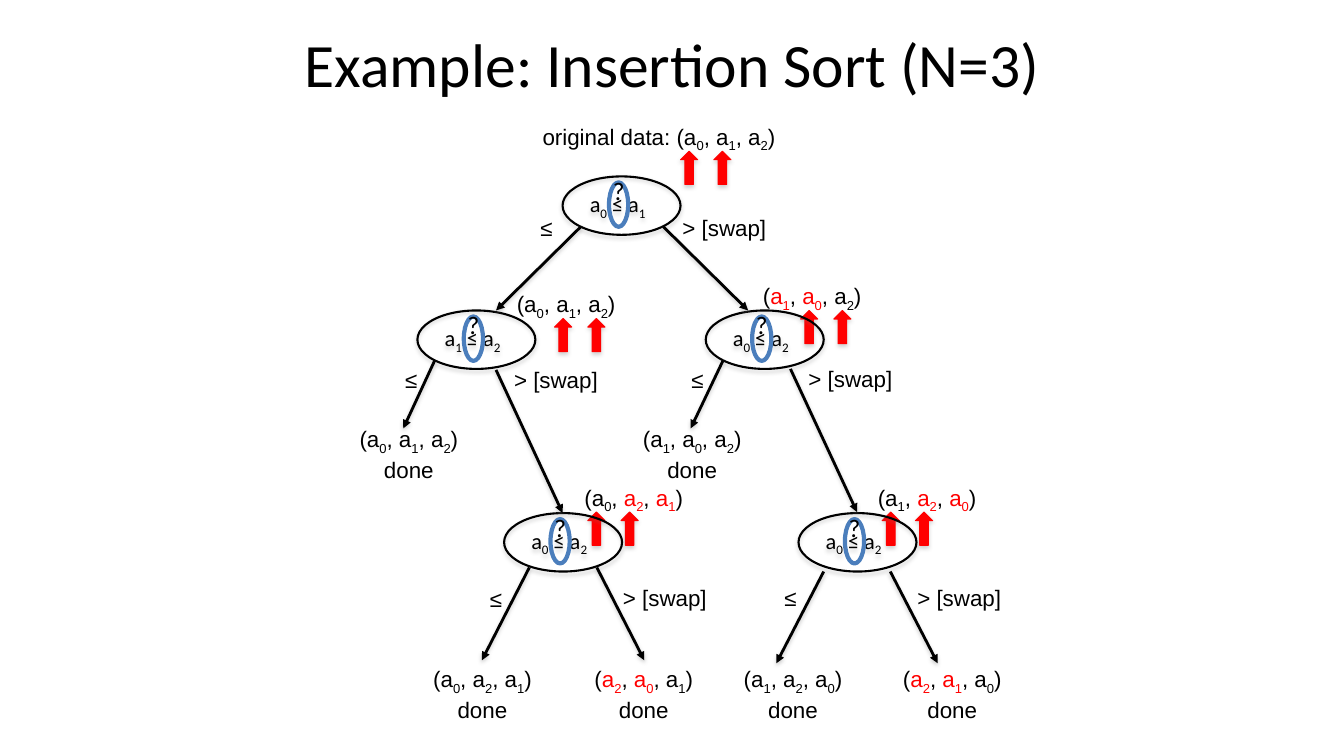
"""Build a slide showing the decision tree of insertion sort for three items."""
import itertools

import pptx
import pptx.dml.color
import pptx.enum.shapes
import pptx.enum.text
import pptx.oxml
import pptx.oxml.ns
import pptx.util
from pptx.util import Inches

COLORS = {"ink": "000000", "swapped": "FF0000", "operator": "4B7EBC", "shadow": "808080"}
SHAPES = pptx.enum.shapes.MSO_SHAPE
ALIGN = pptx.enum.text.PP_ALIGN
ANCHOR = pptx.enum.text.MSO_ANCHOR
DRAWING = pptx.oxml.ns.nsdecls("a")

NODE_WIDTH, NODE_HEIGHT = 1.17, 0.58
POINTER_GAP = 0.33

# left, top, test, data, data left, data top, data width, first pointer left
NODES = [
    (5.58, 1.75, "a0 ≤ a1", "original data: (a0, a1, a2)", 5.25, 1.17, 2.57, 6.75),
    (4.14, 3.08, "a1 ≤ a2", "(a0, a1, a2)", 5.0, 2.83, 1.23, 5.5),
    (7.0, 3.08, "a0 ≤ a2", "(*a1, *a0, a2)", 7.44, 2.75, 1.23, 7.94),
    (5.0, 5.09, "a0 ≤ a2", "(a0, *a2, *a1)", 5.67, 4.75, 1.23, 5.83),
    (7.92, 5.09, "a0 ≤ a2", "(a1, *a2, *a0)", 8.58, 4.75, 1.23, 8.75),
]
# start x, start y, end x, end y, label left, label top
KEEP_BRANCHES = [
    (5.76, 2.25, 4.92, 3.08, 5.26, 2.08),
    (4.31, 3.58, 4.0, 4.25, 3.92, 3.58),
    (7.17, 3.58, 6.85, 4.25, 6.76, 3.58),
    (5.25, 5.63, 4.78, 6.55, 4.76, 5.76),
    (8.17, 5.67, 7.7, 6.58, 7.68, 5.75),
]
SWAP_BRANCHES = [
    (6.58, 2.25, 7.42, 3.08, 6.67, 2.08),
    (4.92, 3.67, 5.58, 5.09, 5.0, 3.58),
    (7.84, 3.66, 8.5, 5.08, 7.92, 3.57),
    (5.92, 5.63, 6.39, 6.55, 6.08, 5.75),
    (8.83, 5.67, 9.3, 6.58, 9.0, 5.75),
]
# left, top, result
LEAVES = [
    (3.44, 4.17, "(a0, a1, a2)"),
    (6.25, 4.17, "(a1, a0, a2)"),
    (4.17, 6.55, "(a0, a2, a1)"),
    (5.77, 6.55, "(*a2, *a0, a1)"),
    (7.25, 6.55, "(a1, a2, a0)"),
    (8.83, 6.55, "(*a2, *a1, a0)"),
]


def rgb(name):
    """Return the named colour."""
    return pptx.dml.color.RGBColor.from_string(COLORS[name])


def add_shadow(properties, opacity, distance):
    """Give shape properties a soft shadow that falls straight down."""
    for effects in properties.findall(pptx.oxml.ns.qn("a:effectLst")):
        properties.remove(effects)
    properties.append(pptx.oxml.parse_xml(
        f'<a:effectLst {DRAWING}><a:outerShdw blurRad="{Inches(0.04)}" dist="{Inches(distance)}" '
        f'dir="5400000" rotWithShape="0"><a:srgbClr val="{COLORS["shadow"]}">'
        f'<a:alpha val="{opacity * 1000}"/></a:srgbClr></a:outerShdw></a:effectLst>'))


def add_runs(paragraph, text):
    """Write digits as subscripts and items marked with * in red."""
    styled, swapped = [], False
    for character in text:
        if character == "*":
            swapped = True
            continue
        styled.append((character, character.isdigit(), swapped))
        swapped = swapped and not character.isdigit()
    for (subscript, red), group in itertools.groupby(styled, key=lambda item: item[1:]):
        run = paragraph.add_run()
        run.text = "".join(item[0] for item in group)
        if subscript:
            run.font._element.set("baseline", "-25000")
        if red:
            run.font.color.rgb = rgb("swapped")


def set_font(paragraph, font_name, size):
    """Set the typeface, size and basic colour of a paragraph."""
    paragraph.font.name = font_name
    paragraph.font.size = pptx.util.Pt(size)
    paragraph.font.color.rgb = rgb("ink")


def add_label(slide, left, top, width, lines, align=ALIGN.LEFT):
    """Add an unwrapped text box with one paragraph a line."""
    box = slide.shapes.add_textbox(
        Inches(left), Inches(top), Inches(width), Inches(0.1 + 0.27 * len(lines)))
    frame = box.text_frame
    frame.word_wrap = False
    frame.auto_size = pptx.enum.text.MSO_AUTO_SIZE.SHAPE_TO_FIT_TEXT
    for index, line in enumerate(lines):
        paragraph = frame.add_paragraph() if index else frame.paragraphs[0]
        paragraph.alignment = align
        set_font(paragraph, "Arial", 16)
        add_runs(paragraph, line)


def add_title(slide, text):
    """Add the slide title."""
    box = slide.shapes.add_textbox(Inches(2.17), Inches(0), Inches(9), Inches(1.25))
    box.text_frame.word_wrap = True
    box.text_frame.vertical_anchor = ANCHOR.MIDDLE
    paragraph = box.text_frame.paragraphs[0]
    paragraph.text = text
    paragraph.alignment = ALIGN.CENTER
    set_font(paragraph, "Calibri", 44)


def add_ellipse(slide, left, top, width, height, color, line_width):
    """Add an unfilled ellipse."""
    shape = slide.shapes.add_shape(
        SHAPES.OVAL, Inches(left), Inches(top), Inches(width), Inches(height))
    shape.shadow.inherit = False
    shape.fill.background()
    shape.line.color.rgb = rgb(color)
    shape.line.width = pptx.util.Pt(line_width)
    return shape


def add_pointer(slide, left, top):
    """Add a red arrow that points up at a compared item."""
    shape = slide.shapes.add_shape(
        SHAPES.UP_ARROW, Inches(left), Inches(top), Inches(0.17), Inches(0.33))
    shape.fill.solid()
    shape.fill.fore_color.rgb = rgb("swapped")
    shape.line.color.rgb = rgb("swapped")
    shape.line.width = pptx.util.Pt(0.75)
    add_shadow(shape._element.spPr, 35, 0.025)


def add_node(slide, left, top, test):
    """Add the ellipse that holds a comparison."""
    shape = add_ellipse(slide, left, top, NODE_WIDTH, NODE_HEIGHT, "ink", 1.5)
    add_shadow(shape._element.spPr, 35, 0.025)
    shape.text_frame.vertical_anchor = ANCHOR.MIDDLE
    paragraph = shape.text_frame.paragraphs[0]
    paragraph.alignment = ALIGN.LEFT
    set_font(paragraph, "Calibri", 16)
    add_runs(paragraph, test)


def add_question(slide, left, top):
    """Ring the operator of a comparison and put a question mark above it."""
    add_ellipse(slide, left, top, 0.19, 0.44, "operator", 3)
    box = slide.shapes.add_textbox(
        Inches(left), Inches(top - 0.07), Inches(0.19), Inches(0.3))
    frame = box.text_frame
    frame.word_wrap = False
    frame.margin_left = frame.margin_right = frame.margin_top = frame.margin_bottom = 0
    paragraph = frame.paragraphs[0]
    paragraph.text = "?"
    paragraph.alignment = ALIGN.CENTER
    set_font(paragraph, "Calibri", 18)


def add_branch(slide, start_x, start_y, end_x, end_y):
    """Add an arrow from a comparison to its outcome."""
    connector = slide.shapes.add_connector(
        pptx.enum.shapes.MSO_CONNECTOR.STRAIGHT,
        Inches(start_x), Inches(start_y), Inches(end_x), Inches(end_y))
    connector.line.color.rgb = rgb("ink")
    connector.line.width = pptx.util.Pt(2)
    connector.line._get_or_add_ln().append(
        pptx.oxml.parse_xml(f'<a:tailEnd {DRAWING} type="triangle"/>'))
    add_shadow(connector._element.spPr, 38, 0.02)


def main():
    """Build the slide and save it."""
    presentation = pptx.Presentation()
    presentation.slide_width, presentation.slide_height = Inches(13.33), Inches(7.5)
    slide = presentation.slides.add_slide(presentation.slide_layouts[6])
    add_title(slide, "Example: Insertion Sort (N=3)")
    for left, top, test, data, data_left, data_top, data_width, pointer_left in NODES:
        add_label(slide, data_left, data_top, data_width, [data], ALIGN.CENTER)
        for index in range(2):
            add_pointer(slide, pointer_left + index * POINTER_GAP, data_top + 0.33)
        add_node(slide, left, top, test)
    for branches, label, width in ((KEEP_BRANCHES, "≤", 0.32), (SWAP_BRANCHES, "> [swap]", 1.05)):
        for *ends, label_left, label_top in branches:
            add_branch(slide, *ends)
            add_label(slide, label_left, label_top, width, [label])
    for left, top, result in LEAVES:
        add_label(slide, left, top, 1.23, [result, "done"], ALIGN.CENTER)
    for left, top, *_ in NODES:
        add_question(slide, left + 0.46, top + 0.06)
    presentation.save("out.pptx")


if __name__ == "__main__":
    main()
